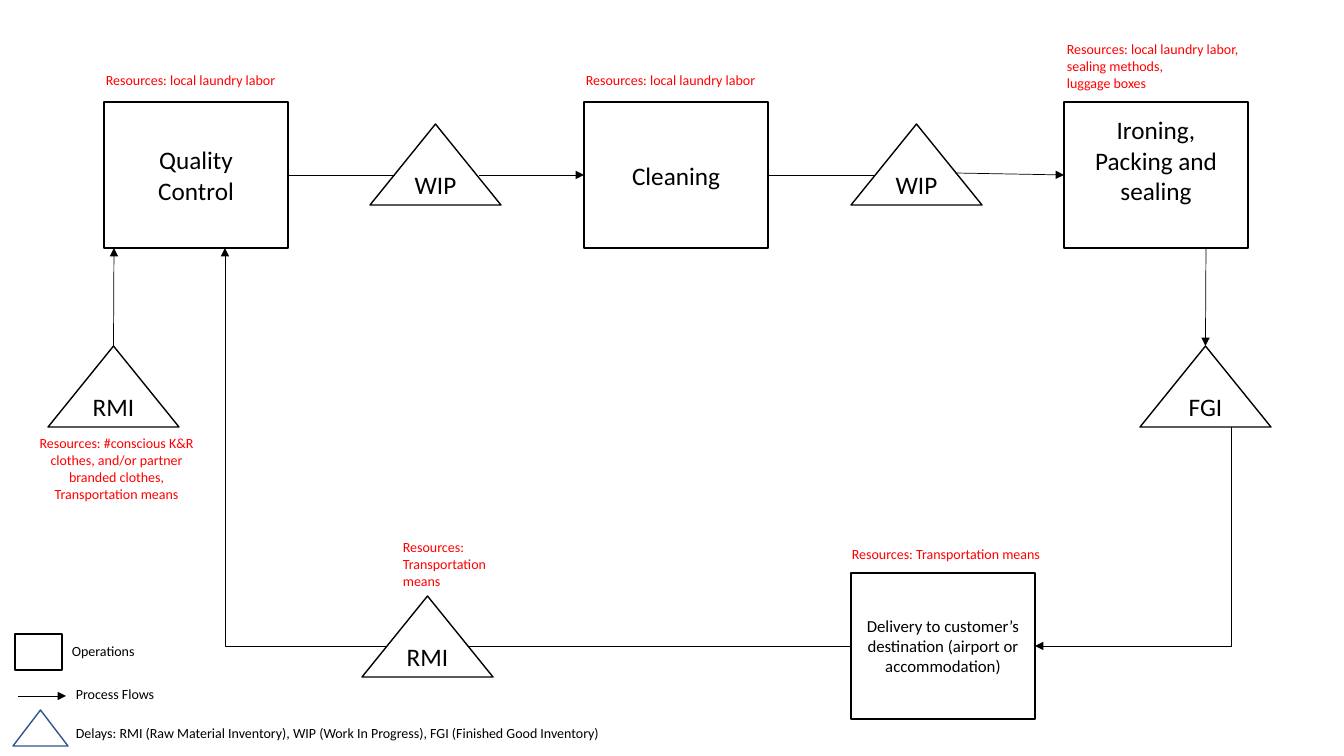
from lxml import etree
from pptx import Presentation
from pptx.dml.color import RGBColor
from pptx.enum.shapes import MSO_CONNECTOR, MSO_SHAPE
from pptx.enum.text import MSO_ANCHOR, MSO_AUTO_SIZE, PP_ALIGN
from pptx.oxml.ns import qn
from pptx.util import Pt

PX = 9144000 / 1008
RECT, PROCESS = MSO_SHAPE.RECTANGLE, MSO_SHAPE.FLOWCHART_PROCESS
TRIANGLE = MSO_SHAPE.FLOWCHART_EXTRACT
STRAIGHT, ELBOW = MSO_CONNECTOR.STRAIGHT, MSO_CONNECTOR.ELBOW
LEFT, CENTER = PP_ALIGN.LEFT, PP_ALIGN.CENTER
MIDDLE, GROW = MSO_ANCHOR.MIDDLE, MSO_AUTO_SIZE.SHAPE_TO_FIT_TEXT
BLACK, WHITE, RED, BLUE = "000000", "FFFFFF", "FF0000", "325491"
TOP_SIDE, LEFT_SIDE, RIGHT_SIDE = 0, 1, 3


def px(*lengths):
    """Turn pixel lengths into EMU."""
    return [round(n * PX) for n in lengths]


def write(tf, text, size, color, align):
    """Fill a text frame, one paragraph per line of text."""
    tf.text = text
    for p in tf.paragraphs:
        p.alignment = align
        for name, value in {"name": "Calibri", "size": Pt(size)}.items():
            setattr(p.font, name, value)
        p.font.color.rgb = RGBColor.from_string(color)


prs = Presentation()
prs.slide_width, prs.slide_height = px(1344, 756)
s = prs.slides.add_slide(prs.slide_layouts[6])

# Operations, delays and the two legend symbols
BOX, DELAY = (184, 146), (131, 81)
COLUMNS = [104 + 480 * i for i in range(3)]
ROW, BOTTOM_ROW = 102, 573
symbols = [
    ("wip_2", TRIANGLE, (851, 124, *DELAY), "WIP", 18, WHITE, BLACK),
    ("wip_1", TRIANGLE, (370, 124, *DELAY), "WIP", 18, WHITE, BLACK),
    ("fgi", TRIANGLE, (1140, 346, *DELAY), "FGI", 18, WHITE, BLACK),
    ("rmi_clothes", TRIANGLE, (48, 346, *DELAY), "RMI", 18, WHITE, BLACK),
    ("rmi_return", TRIANGLE, (362, 596, *DELAY), "RMI", 18, WHITE, BLACK),
    ("control", RECT, (COLUMNS[0], ROW, *BOX), "Quality\nControl", 18, WHITE, BLACK),
    ("cleaning", RECT, (COLUMNS[1], ROW, *BOX), "Cleaning", 18, WHITE, BLACK),
    ("ironing", RECT, (COLUMNS[2], ROW, *BOX), "Ironing,\nPacking and sealing", 18, WHITE, BLACK),
    ("delivery", RECT, (851, BOTTOM_ROW, *BOX),
     "Delivery to customer’s destination (airport or accommodation)", 12, WHITE, BLACK),
    ("legend_delay", TRIANGLE, (13, 710, 55, 36), "", 10, None, BLUE),
    ("legend_operation", PROCESS, (15, 634, 47, 36), "", 10, WHITE, BLACK),
]
shapes = {}
for name, kind, place, text, size, fill, line in symbols:
    sp = shapes[name] = s.shapes.add_shape(kind, *px(*place))
    sp.shadow.inherit = False
    if fill:
        sp.fill.solid()
        sp.fill.fore_color.rgb = RGBColor.from_string(fill)
    else:
        sp.fill.background()
    sp.line.color.rgb = RGBColor.from_string(line)
    sp.line.width = Pt(1)
    if text:
        sp.text_frame.vertical_anchor = MIDDLE
        write(sp.text_frame, text, size, BLACK, CENTER)
shapes["ironing"].text_frame.margin_bottom = px(35)[0]

# Flows: kind, ends, joined start, joined end, arrow, bend position
MID = ROW + 73
BOTTOM_MID = BOTTOM_ROW + 73
flows = [
    (STRAIGHT, (114, 346, 114, 248), ("rmi_clothes", TOP_SIDE), None, True, None),
    (STRAIGHT, (288, MID, 395, MID), ("control", RIGHT_SIDE), None, False, None),
    (STRAIGHT, (479, MID, 584, MID), None, ("cleaning", LEFT_SIDE), True, None),
    (STRAIGHT, (768, MID, 875, MID), ("cleaning", RIGHT_SIDE), None, False, None),
    (STRAIGHT, (955, 173, 1064, MID), None, ("ironing", LEFT_SIDE), True, None),
    (STRAIGHT, (1206, 248, 1206, 346), None, ("fgi", TOP_SIDE), True, None),
    (STRAIGHT, (18, 696, 66, 696), None, None, True, None),
    (ELBOW, (1231, 427, 1035, BOTTOM_MID), None, None, True, 0),
    (ELBOW, (851, BOTTOM_MID, 225, 248), None, None, True, 100000),
]
for kind, ends, start, end, arrow, bend in flows:
    cxn = s.shapes.add_connector(kind, *px(*ends))
    if start:
        cxn.begin_connect(shapes[start[0]], start[1])
    if end:
        cxn.end_connect(shapes[end[0]], end[1])
    cxn.line.color.rgb = RGBColor.from_string(BLACK)
    cxn.line.width = Pt(0.5)
    spPr = cxn._element.spPr
    if arrow:
        etree.SubElement(spPr.find(qn("a:ln")), qn("a:tailEnd"), type="triangle")
    if bend is not None:
        guides = spPr.find(qn("a:prstGeom")).find(qn("a:avLst"))
        etree.SubElement(guides, qn("a:gd"), name="adj1", fmla=f"val {bend}")
    etree.SubElement(spPr, qn("a:effectLst"))

# The returning flow passes behind its delay triangle
s.shapes._spTree.append(shapes["rmi_return"]._element)

# Resource notes and legend texts
labels = [
    ("Resources: local laundry labor", (96, 67, 200, 27), RED, LEFT, False),
    ("Resources: local laundry labor", (576, 67, 200, 27), RED, LEFT, False),
    ("Resources: local laundry labor,\nsealing methods,\nluggage boxes",
     (1057, 36, 199, 61), RED, LEFT, False),
    ("Resources: #conscious K&R clothes, and/or partner branded clothes, Transportation means",
     (18, 430, 197, 78), RED, CENTER, True),
    ("Resources: Transportation means", (842, 541, 213, 27), RED, LEFT, False),
    ("Resources:\nTransportation\nmeans", (393, 534, 109, 61), RED, LEFT, False),
    ("Operations", (62, 638, 84, 27), BLACK, LEFT, False),
    ("Process Flows", (66, 681, 100, 27), BLACK, LEFT, False),
    ("Delays: RMI (Raw Material Inventory), WIP (Work In Progress), FGI (Finished Good Inventory)",
     (66, 720, 551, 27), BLACK, LEFT, False),
]
for text, place, color, align, wrap in labels:
    tf = s.shapes.add_textbox(*px(*place)).text_frame
    tf.word_wrap = wrap
    tf.auto_size = GROW
    write(tf, text, 10, color, align)

prs.save("out.pptx")
